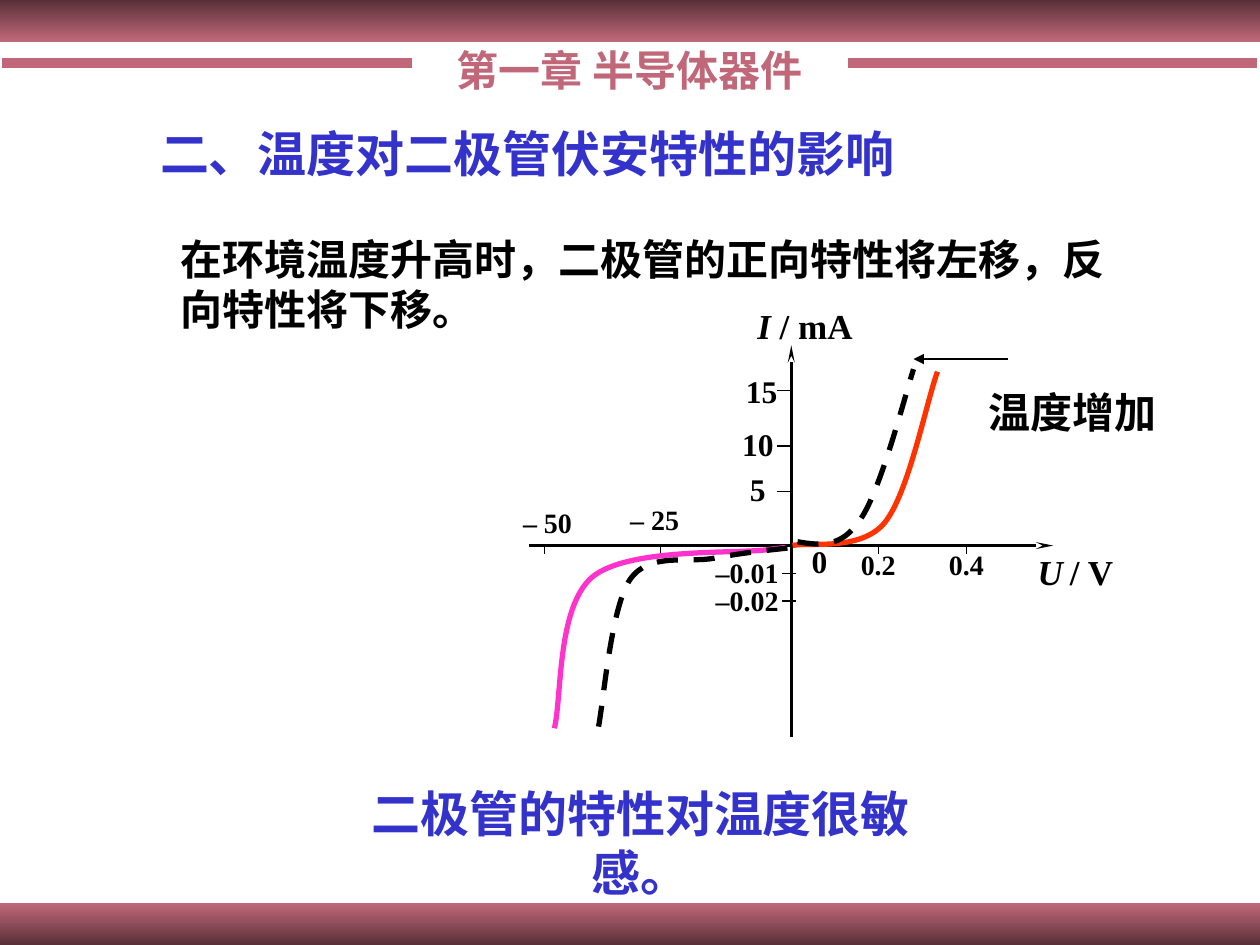
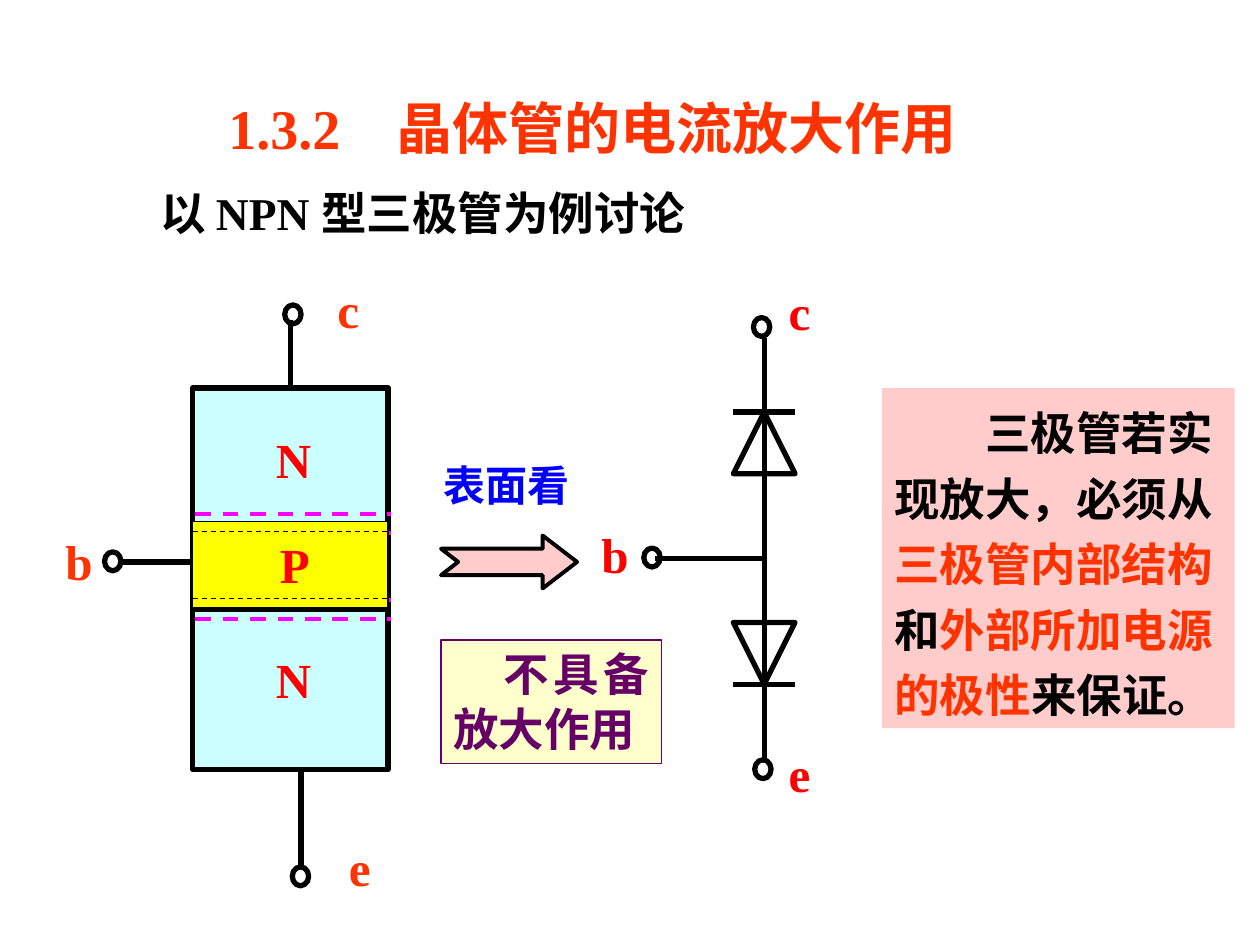
from dataclasses import dataclass
from typing import NamedTuple, Optional

from lxml.etree import SubElement
from pptx import Presentation
from pptx.dml.color import RGBColor
from pptx.enum.dml import MSO_LINE
from pptx.enum.shapes import MSO_CONNECTOR, MSO_SHAPE
from pptx.enum.text import MSO_ANCHOR, MSO_AUTO_SIZE, PP_ALIGN
from pptx.oxml.ns import qn
from pptx.util import Inches, Pt

BLACK = RGBColor(0x00, 0x00, 0x00)
ROSE = RGBColor(0xC0, 0x68, 0x79)
MAROON = RGBColor(0x59, 0x30, 0x38)
INDIGO = RGBColor(0x33, 0x33, 0xCC)
BLUE = RGBColor(0x00, 0x00, 0xFF)
ORANGE = RGBColor(0xFF, 0x33, 0x00)
RED = RGBColor(0xFF, 0x00, 0x00)
PINK = RGBColor(0xFF, 0x33, 0xCC)
MAGENTA = RGBColor(0xFF, 0x00, 0xFF)
PURPLE = RGBColor(0x66, 0x00, 0x66)
YELLOW = RGBColor(0xFF, 0xFF, 0x00)
CREAM = RGBColor(0xFF, 0xFF, 0xCC)
BLUSH = RGBColor(0xFF, 0xCC, 0xCC)
CYAN = RGBColor(0xCC, 0xFF, 0xFF)

LATIN, CJK = "Times New Roman", "Noto Sans CJK JP"
LEFT, CENTER, JUSTIFY = PP_ALIGN.LEFT, PP_ALIGN.CENTER, PP_ALIGN.JUSTIFY
STEALTH = {"type": "stealth", "w": "sm", "len": "lg"}
TRIANGLE = {"type": "triangle"}


class Run(NamedTuple):
    text: str
    color: Optional[RGBColor] = None
    italic: bool = False
    size: Optional[int] = None


class Box(NamedTuple):
    left: float
    top: float
    width: float
    height: float

    def emu(self) -> tuple:
        return tuple(Inches(side) for side in self)


@dataclass
class Words:
    runs: list
    size: int
    color: RGBColor = BLACK
    align: PP_ALIGN = LEFT
    middle: bool = False
    wrap: bool = True
    spacing: float = 1.0
    indent: float = 0
    font: str = LATIN


class Stroke(NamedTuple):
    color: RGBColor = BLACK
    width: float = 3
    dashed: bool = False


THIN, AXIS, THICK = Stroke(width=0.75), Stroke(width=2), Stroke()
DASHED = Stroke(dashed=True)


def write(frame, words: Words) -> None:
    frame.word_wrap = words.wrap
    frame.auto_size = MSO_AUTO_SIZE.NONE
    frame.vertical_anchor = MSO_ANCHOR.MIDDLE if words.middle else MSO_ANCHOR.TOP
    paragraph = frame.paragraphs[0]
    properties = paragraph._p.get_or_add_pPr()
    properties.set("marL", "0")
    properties.set("indent", str(Inches(words.indent)))
    properties.set("hangingPunct", "0")
    SubElement(properties, qn("a:buNone"))
    paragraph.alignment = words.align
    paragraph.line_spacing = words.spacing
    paragraph.space_before = Pt(0)
    for part in words.runs:
        run = paragraph.add_run()
        run.text = part.text
        font = run.font
        font.size = Pt(part.size or words.size)
        font.bold, font.italic, font.name = True, part.italic, words.font
        font.color.rgb = part.color or words.color
        SubElement(run._r.get_or_add_rPr(), qn("a:ea"), typeface=CJK)


def add_words(slide, box: Box, words: Words) -> None:
    write(slide.shapes.add_textbox(*box.emu()).text_frame, words)


def add_tag(slide, text: str, box: Box, size: int, color: RGBColor = BLACK) -> None:
    add_words(slide, box, Words([Run(text)], size, color, CENTER, True, False))


def fill_placeholder(holder, box: Box, words: Words) -> None:
    holder.left, holder.top, holder.width, holder.height = box.emu()
    write(holder.text_frame, words)


def apply_stroke(line, stroke: Stroke) -> None:
    line.color.rgb = stroke.color
    line.width = Pt(stroke.width)
    if stroke.dashed:
        line.dash_style = MSO_LINE.DASH


def add_line(slide, start: tuple, end: tuple, stroke: Stroke = THICK,
             arrow: Optional[dict] = None):
    points = [Inches(value) for value in (*start, *end)]
    connector = slide.shapes.add_connector(MSO_CONNECTOR.STRAIGHT, *points)
    apply_stroke(connector.line, stroke)
    if arrow:
        SubElement(connector.get_or_add_ln(), qn("a:tailEnd"), arrow)
    SubElement(connector.element.spPr, qn("a:effectLst"))
    return connector


def add_figure(slide, kind: MSO_SHAPE, box: Box, fill: Optional[RGBColor] = None,
               stroke: Optional[Stroke] = THICK):
    figure = slide.shapes.add_shape(kind, *box.emu())
    figure.shadow.inherit = False
    if fill is None:
        figure.fill.background()
    else:
        figure.fill.solid()
        figure.fill.fore_color.rgb = fill
    if stroke is None:
        figure.line.fill.background()
    else:
        apply_stroke(figure.line, stroke)
    return figure


def add_band(slide, top: float, colors: tuple) -> None:
    band = add_figure(slide, MSO_SHAPE.RECTANGLE, Box(0, top, 10, 0.33), stroke=None)
    band.fill.gradient()
    band.fill.gradient_angle = 270
    for stop, color in zip(band.fill.gradient_stops, colors):
        stop.color.rgb = color


def add_curve(slide, knots: list, stroke: Stroke) -> None:
    start, *rest = [(Inches(x), Inches(y)) for x, y in knots]
    builder = slide.shapes.build_freeform(*start)
    builder.add_line_segments(rest, close=False)
    curve = builder.convert_to_shape()
    outline = next(curve.element.iter(qn("a:path")))
    segments = outline.findall(qn("a:lnTo"))
    for first in range(0, len(segments), 3):
        bend = SubElement(outline, qn("a:cubicBezTo"))
        for segment in segments[first:first + 3]:
            bend.append(segment[0])
            outline.remove(segment)
    curve.shadow.inherit = False
    curve.fill.background()
    apply_stroke(curve.line, stroke)


def add_page(deck, title_box: Box, title: Words, lead_box: Box, lead: Words):
    slide = deck.slides.add_slide(deck.slide_layouts[1])
    fill_placeholder(slide.shapes.title, title_box, title)
    fill_placeholder(slide.placeholders[1], lead_box, lead)
    return slide


def draw_axes(slide) -> None:
    origin_x, origin_y = 6.28, 4.33
    add_line(slide, (4.2, origin_y), (8.36, origin_y), AXIS, STEALTH)
    add_line(slide, (origin_x, 5.85), (origin_x, 2.74), AXIS, STEALTH)
    for x in (4.32, 5.24, 6.97, 7.67):
        add_line(slide, (x, origin_y), (x, 4.4), THIN)
    for x, ys in ((6.17, (3.1, 3.54, 3.9)), (6.21, (4.55, 4.77))):
        for y in ys:
            add_line(slide, (x, y), (x + 0.11, y), THIN)
    for text, x, y, width in (("– 50", 4.05, 3.96, 0.59), ("– 25", 4.9, 3.94, 0.59),
                              ("0.2", 6.73, 4.29, 0.48), ("0.4", 7.43, 4.29, 0.48),
                              ("–0.01", 5.58, 4.36, 0.7), ("–0.02", 5.58, 4.58, 0.7)):
        add_tag(slide, text, Box(x, y, width, 0.37), 16)
    for text, x, y, width in (("5", 5.85, 3.68, 0.33), ("10", 5.79, 3.32, 0.45),
                              ("15", 5.82, 2.9, 0.45), ("0", 6.34, 4.25, 0.33)):
        add_tag(slide, text, Box(x, y, width, 0.4), 18)
    current = [Run("I", italic=True), Run(" / mA")]
    voltage = [Run("U", italic=True), Run(" ", size=16), Run("/ V")]
    add_words(slide, Box(5.91, 2.36, 0.96, 0.44),
              Words(current, 20, align=CENTER, middle=True, wrap=False))
    add_words(slide, Box(7.9, 4.32, 1.27, 0.43),
              Words(voltage, 20, align=CENTER, middle=True))


def build_temperature_page(deck) -> None:
    slide = add_page(
        deck, Box(1.17, 0.93, 6.67, 0.57),
        Words([Run("二、温度对二极管伏安特性的影响")], 28, INDIGO),
        Box(1.33, 1.8, 7.83, 0.9),
        Words([Run("在环境温度升高时，二极管的正向特性将左移，反向特性将下移。")], 24))
    add_band(slide, 0, (MAROON, ROSE))
    add_band(slide, 7.17, (ROSE, MAROON))
    for x in (0.02, 6.73):
        add_line(slide, (x, 0.5), (x + 3.25, 0.5), Stroke(ROSE, 6))
    add_words(slide, Box(3.33, 0.34, 3.33, 0.42),
              Words([Run("第一章 半导体器件")], 24, ROSE, CENTER, True, False, font=CJK))
    add_words(slide, Box(2.5, 6.17, 5.17, 0.57),
              Words([Run("二极管的特性对温度很敏感。")], 28, INDIGO, CENTER))
    draw_axes(slide)
    reverse = [(6.15, 4.36), (6.14, 4.36), (6.35, 4.33), (6.11, 4.36),
               (5.87, 4.4), (4.99, 4.34), (4.7, 4.58),
               (4.42, 4.82), (4.46, 5.53), (4.4, 5.78)]
    forward = [(6.29, 4.33), (6.41, 4.3), (6.83, 4.38), (7.02, 4.15),
               (7.21, 3.92), (7.35, 3.2), (7.44, 2.95)]
    warm_forward = [(6.33, 4.3), (6.51, 4.33), (6.68, 4.35), (6.83, 4.12),
                    (6.99, 3.89), (7.18, 3.15), (7.25, 2.93)]
    warm_reverse = [(6.25, 4.35), (6.06, 4.37), (5.88, 4.39), (5.67, 4.43),
                    (5.46, 4.47), (5.15, 4.38), (5, 4.6),
                    (4.85, 4.82), (4.79, 5.57), (4.75, 5.77)]
    for knots, stroke in ((reverse, Stroke(PINK)), (forward, Stroke(ORANGE)),
                          (warm_forward, DASHED), (warm_reverse, DASHED)):
        add_curve(slide, knots, stroke)
    add_line(slide, (8, 2.85), (7.25, 2.85), THIN, TRIANGLE)
    add_words(slide, Box(7.75, 3.02, 1.58, 0.5), Words([Run("温度增加")], 24))


def add_terminals(slide, corners: tuple) -> None:
    for x, y in corners:
        add_figure(slide, MSO_SHAPE.OVAL, Box(x, y, 0.13, 0.15))


def draw_layers(slide) -> None:
    crystal = add_figure(slide, MSO_SHAPE.RECTANGLE, Box(1.53, 3.08, 1.55, 3.03), CYAN)
    for y in (4.16, 4.84):
        add_line(slide, (1.55, y), (3.1, y), Stroke(width=2.25))
    collector = add_line(slide, (2.31, 3.08), (2.31, 2.54))
    collector.begin_connect(crystal, 0)
    collector.end_x = collector.begin_x
    add_line(slide, (2.39, 6.12), (2.39, 6.88))
    add_line(slide, (1.55, 4.46), (0.96, 4.46))
    for y in (4.08, 4.23, 4.76, 4.91):
        add_line(slide, (1.55, y), (3.1, y), Stroke(MAGENTA, 2.25, True))
    add_terminals(slide, ((0.83, 4.38), (2.26, 2.42), (2.32, 6.88)))
    add_figure(slide, MSO_SHAPE.RECTANGLE, Box(1.53, 4.14, 1.55, 0.68), YELLOW, THIN)
    for y in (4.22, 4.75):
        add_line(slide, (1.53, y), (3.09, y), Stroke(width=0.75, dashed=True))
    for text, x, y in (("N", 2.09, 3.36), ("P", 2.1, 4.19), ("N", 2.09, 5.1)):
        add_tag(slide, text, Box(x, y, 0.48, 0.57), 28, RED)
    for text, x, y in (("c", 2.58, 2.17), ("b", 0.42, 4.17), ("e", 2.67, 6.6)):
        add_words(slide, Box(x, y, 0.67, 0.57), Words([Run(text)], 28, ORANGE))


def draw_diodes(slide) -> None:
    add_line(slide, (6.07, 5.35), (6.07, 2.68))
    add_line(slide, (6.07, 4.43), (5.2, 4.43))
    add_line(slide, (6.07, 5.28), (6.07, 6.04))
    add_terminals(slide, ((5.11, 4.35), (5.98, 2.52), (5.99, 6.03)))
    for top, bar, turn in ((3.27, 3.27, 0), (4.94, 5.43, 180)):
        diode = add_figure(slide, MSO_SHAPE.ISOSCELES_TRIANGLE, Box(5.82, top, 0.49, 0.49))
        diode.rotation = turn
        add_line(slide, (5.82, bar), (6.31, bar))
    for text, x, y, width in (("b", 4.67, 4.11, 0.42), ("e", 6.16, 5.85, 0.37),
                              ("c", 6.16, 2.18, 0.37)):
        add_tag(slide, text, Box(x, y, width, 0.57), 28, RED)


def build_transistor_page(deck) -> None:
    slide = add_page(
        deck, Box(1.58, 0.75, 6.25, 0.58),
        Words([Run("1.3.2　晶体管的电流放大作用")], 32, ORANGE, CENTER, spacing=0.9),
        Box(1.17, 1.42, 5.42, 0.53),
        Words([Run("以 NPN 型三极管为例讨论")], 26, align=JUSTIFY))
    draw_layers(slide)
    draw_diodes(slide)
    arrow = add_figure(slide, MSO_SHAPE.NOTCHED_RIGHT_ARROW, Box(3.5, 4.25, 1.08, 0.42),
                       BLUSH, Stroke(width=2.25))
    arrow.adjustments[0], arrow.adjustments[1] = 0.5, 0.65
    add_words(slide, Box(3.42, 3.6, 1.58, 0.5), Words([Run("表面看")], 24, BLUE))
    condition = add_figure(slide, MSO_SHAPE.RECTANGLE, Box(7, 3.08, 2.8, 2.7), BLUSH, None)
    write(condition.text_frame, Words(
        [Run("三极管若实现放大，必须从"), Run("三极管内部结构", ORANGE), Run("和"),
         Run("外部所加电源的极性", ORANGE), Run("来保证。")],
        26, spacing=1.2, indent=0.72))
    verdict = add_figure(slide, MSO_SHAPE.RECTANGLE, Box(3.5, 5.08, 1.75, 0.98),
                         CREAM, Stroke(PURPLE, 0.75))
    write(verdict.text_frame,
          Words([Run("不具备放大作用")], 26, PURPLE, JUSTIFY, indent=0.4))


def main() -> None:
    deck = Presentation()
    deck.slide_width, deck.slide_height = Inches(10), Inches(7.5)
    build_temperature_page(deck)
    build_transistor_page(deck)
    deck.save("out.pptx")


if __name__ == "__main__":
    main()
